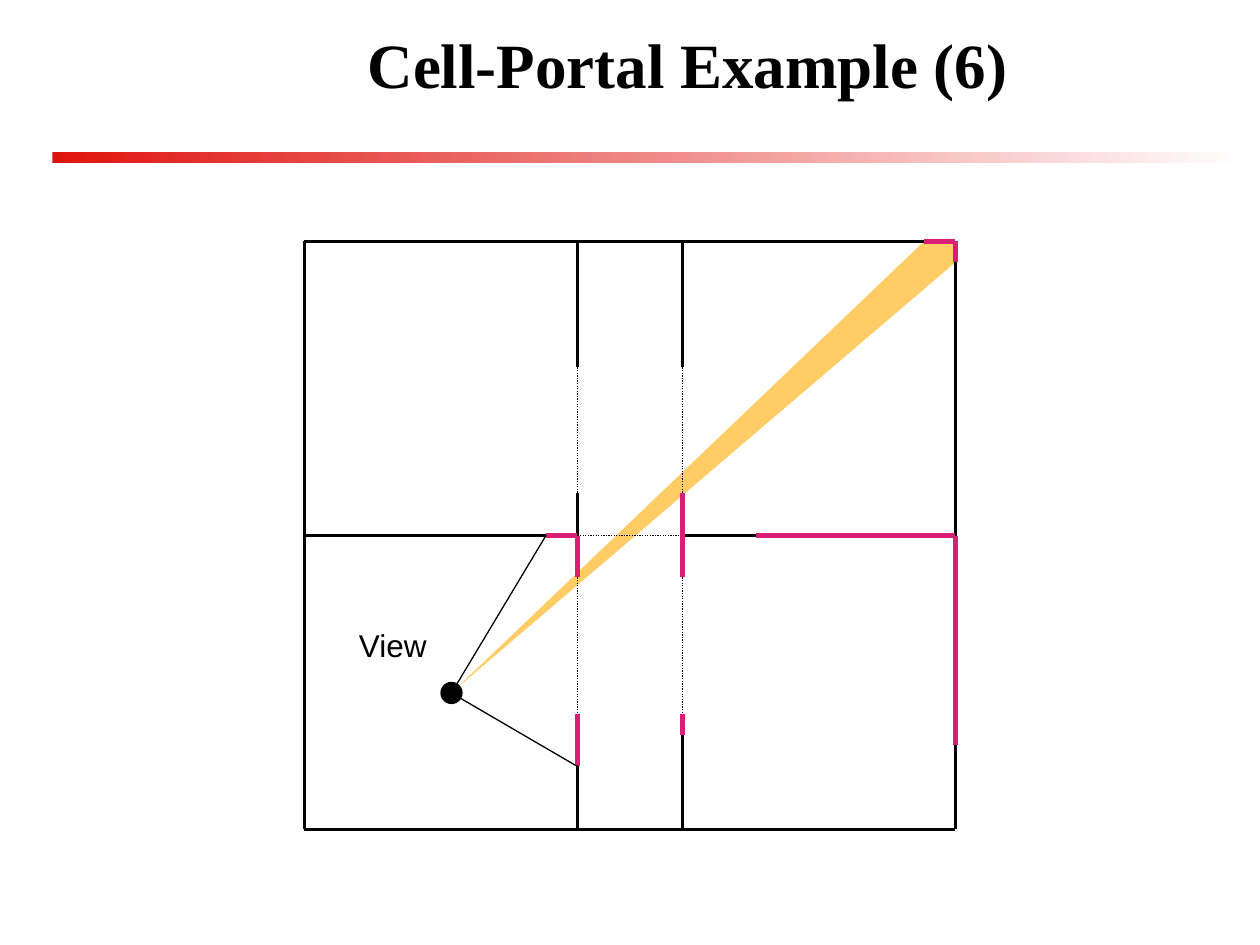
from dataclasses import dataclass

from lxml.etree import SubElement
from pptx import Presentation
from pptx.dml.color import RGBColor
from pptx.enum.dml import MSO_LINE
from pptx.enum.shapes import MSO_CONNECTOR, MSO_SHAPE
from pptx.enum.text import MSO_ANCHOR, PP_ALIGN
from pptx.oxml.ns import qn
from pptx.util import Inches, Pt

COLUMNS, ROWS = 120, 90
BLACK, WHITE, RED, PINK, AMBER = "000000", "FFFFFF", "DF140F", "D91F73", "FFCC66"

# Floor plan: rooms on both sides of a corridor, in grid columns and rows
WEST, HALL_WEST, HALL_EAST, EAST = 29, 55, 65, 91
NORTH, MIDDLE, SOUTH = 23, 51, 79
DOOR_TOP, DOOR_BOTTOM = 35, 47
LOWER_DOOR_TOP, LOWER_DOOR_BOTTOM = 55, 68
VIEW_COLUMN, VIEW_ROW = 43, 66
SIGHT_TOP, SIGHT_BOTTOM = 52, 73
BEAM_LEFT, BEAM_BOTTOM = 88, 25

deck = Presentation()
deck.slide_width, deck.slide_height = Inches(10), Inches(7.5)
page = deck.slides.add_slide(deck.slide_layouts[6])


@dataclass(frozen=True)
class Area:
    left: float
    top: float
    right: float
    bottom: float

    def box(self) -> tuple[int, int, int, int]:
        """Left, top, width and height for python-pptx."""
        return (across(self.left), down(self.top),
                across(self.right - self.left), down(self.bottom - self.top))


@dataclass(frozen=True)
class Stroke:
    color: str
    points: float
    dash: MSO_LINE = MSO_LINE.SOLID


@dataclass(frozen=True)
class Segment:
    start: tuple[float, float]
    end: tuple[float, float]


def across(columns: float) -> int:
    return round(deck.slide_width * columns / COLUMNS)


def down(rows: float) -> int:
    return round(deck.slide_height * rows / ROWS)


def rgb(color: str) -> RGBColor:
    return RGBColor.from_string(color)


def upright(column: float, *stops: float) -> list[Segment]:
    """Vertical segments between successive pairs of rows."""
    return [Segment((column, top), (column, bottom))
            for top, bottom in zip(stops[::2], stops[1::2])]


def level(row: float, *stops: float) -> list[Segment]:
    """Horizontal segments between successive pairs of columns."""
    return [Segment((left, row), (right, row))
            for left, right in zip(stops[::2], stops[1::2])]


def draw_segments(segments: list[Segment], stroke: Stroke) -> None:
    for segment in segments:
        (left, top), (right, bottom) = segment.start, segment.end
        line = page.shapes.add_connector(
            MSO_CONNECTOR.STRAIGHT, across(left), down(top), across(right), down(bottom))
        line.line.color.rgb = rgb(stroke.color)
        line.line.width = Pt(stroke.points)
        line.line.dash_style = stroke.dash
        SubElement(line._element.spPr, qn("a:effectLst"))


def draw_shape(kind: MSO_SHAPE, area: Area, color: str, mirrored: bool = False):
    shape = page.shapes.add_shape(kind, *area.box())
    shape.shadow.inherit = False
    shape.fill.solid()
    shape.fill.fore_color.rgb = rgb(color)
    shape.line.fill.background()
    if mirrored:
        shape._element.spPr.find(qn("a:xfrm")).set("flipH", "1")
    return shape


def write(area: Area, text: str, font: dict, frame: dict, alignment: PP_ALIGN) -> None:
    box = page.shapes.add_textbox(*area.box())
    for name, value in frame.items():
        setattr(box.text_frame, name, value)
    para = box.text_frame.paragraphs[0]
    para.alignment = alignment
    span = para.add_run()
    span.text = text
    for name, value in font.items():
        setattr(span.font, name, value)
    span.font.color.rgb = rgb(BLACK)


def draw_title() -> None:
    rule = draw_shape(MSO_SHAPE.RECTANGLE, Area(5, 14.5, 119, 15.5), RED)
    rule.fill.gradient()
    rule.fill.gradient_angle = 0
    for stop, color in zip(rule.fill.gradient_stops, (RED, WHITE)):
        stop.color.rgb = rgb(color)
    write(Area(14, 1, 117, 11), "Cell-Portal Example (6)",
          {"name": "Times New Roman", "size": Pt(36), "bold": True},
          {"word_wrap": True, "vertical_anchor": MSO_ANCHOR.MIDDLE}, PP_ALIGN.CENTER)


def draw_beam() -> None:
    """Amber wedge: a white triangle trims the larger amber area."""
    draw_shape(MSO_SHAPE.RECTANGLE, Area(BEAM_LEFT, NORTH, EAST, MIDDLE), AMBER)
    draw_shape(MSO_SHAPE.RIGHT_TRIANGLE,
               Area(VIEW_COLUMN, NORTH, BEAM_LEFT, VIEW_ROW), AMBER, mirrored=True)
    draw_shape(MSO_SHAPE.RIGHT_TRIANGLE,
               Area(VIEW_COLUMN, BEAM_BOTTOM, EAST, VIEW_ROW), WHITE, mirrored=True)


def draw_plan() -> None:
    portals = [
        *upright(HALL_WEST, DOOR_TOP, DOOR_BOTTOM, LOWER_DOOR_TOP, LOWER_DOOR_BOTTOM),
        *upright(HALL_EAST, DOOR_TOP, DOOR_BOTTOM, LOWER_DOOR_TOP, LOWER_DOOR_BOTTOM),
        *level(MIDDLE, HALL_WEST, HALL_EAST),
    ]
    walls = [
        *level(NORTH, WEST, BEAM_LEFT),
        *level(MIDDLE, WEST, SIGHT_TOP, HALL_EAST, 72),
        *level(SOUTH, WEST, EAST),
        *upright(WEST, NORTH, SOUTH),
        *upright(HALL_WEST, NORTH, DOOR_TOP, DOOR_BOTTOM, MIDDLE, SIGHT_BOTTOM, SOUTH),
        *upright(HALL_EAST, NORTH, DOOR_TOP, 70, SOUTH),
        *upright(EAST, BEAM_BOTTOM, MIDDLE, 71, SOUTH),
    ]
    visible_walls = [
        *level(NORTH, BEAM_LEFT, EAST),
        *level(MIDDLE, SIGHT_TOP, HALL_WEST, 72, EAST),
        *upright(HALL_WEST, MIDDLE, LOWER_DOOR_TOP, LOWER_DOOR_BOTTOM, SIGHT_BOTTOM),
        *upright(HALL_EAST, DOOR_BOTTOM, MIDDLE, MIDDLE, LOWER_DOOR_TOP,
                 LOWER_DOOR_BOTTOM, 70),
        *upright(EAST, NORTH, BEAM_BOTTOM, MIDDLE, 71),
    ]
    draw_segments(portals, Stroke(BLACK, 0.75, MSO_LINE.ROUND_DOT))
    draw_segments(walls, Stroke(BLACK, 1.5))
    draw_segments(visible_walls, Stroke(PINK, 3))


def draw_viewer() -> None:
    eye = (VIEW_COLUMN, VIEW_ROW)
    draw_segments([Segment(eye, (SIGHT_TOP, MIDDLE)),
                   Segment(eye, (HALL_WEST, SIGHT_BOTTOM))], Stroke(BLACK, 0.75))
    dot = draw_shape(MSO_SHAPE.OVAL, Area(VIEW_COLUMN - 1, VIEW_ROW - 1,
                                          VIEW_COLUMN + 1, VIEW_ROW + 1), BLACK)
    dot.line.color.rgb = rgb(BLACK)
    dot.line.width = Pt(0.75)
    write(Area(33, 59, 44, 65), "View", {"name": "Arial", "size": Pt(18)},
          {"word_wrap": False}, PP_ALIGN.LEFT)


def main() -> None:
    draw_title()
    draw_beam()
    draw_plan()
    draw_viewer()
    deck.save("out.pptx")


if __name__ == "__main__":
    main()
